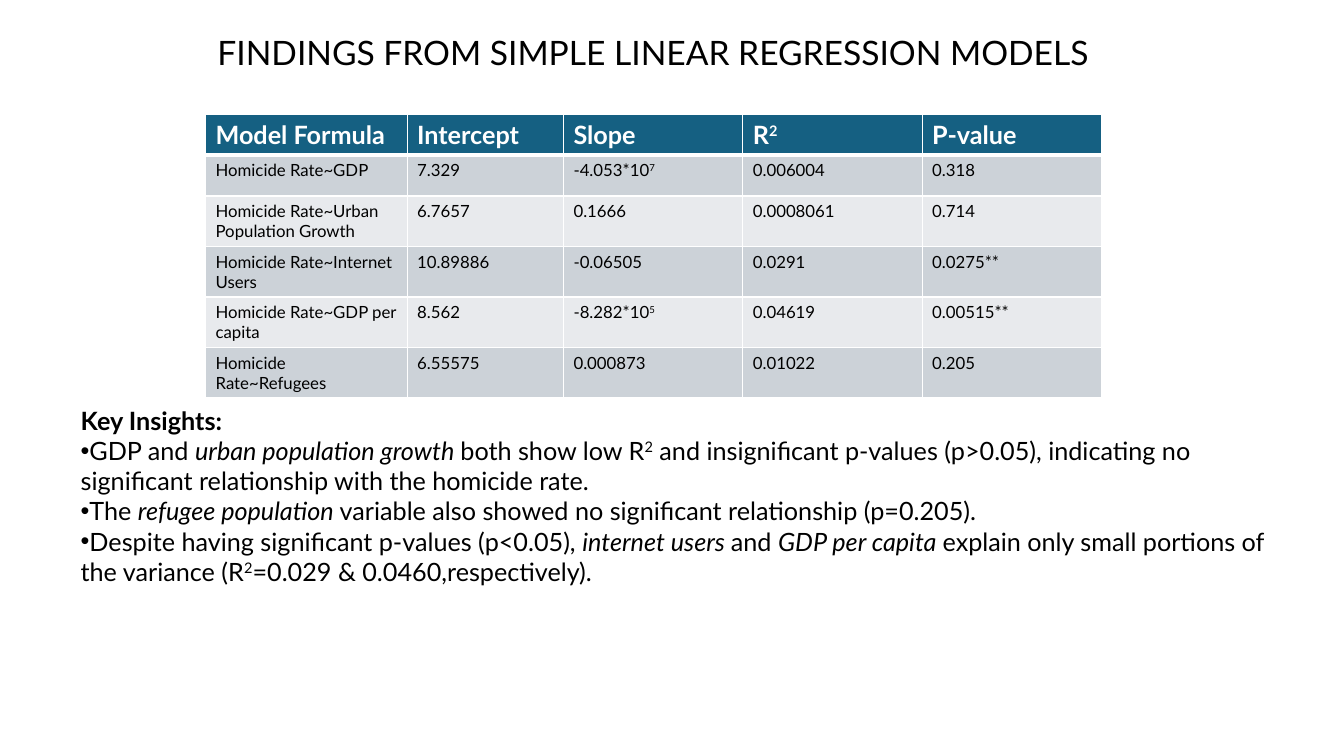
from dataclasses import dataclass
from lxml.etree import SubElement
from pptx import Presentation
from pptx.dml.color import RGBColor
from pptx.enum.text import MSO_ANCHOR, MSO_AUTO_SIZE, PP_ALIGN
from pptx.oxml import parse_xml
from pptx.oxml.ns import nsdecls, qn
from pptx.util import Cm, Pt


@dataclass(frozen=True)
class Theme:
    font: str = "Lato"
    ink: str = "000000"
    white: str = "FFFFFF"
    head: str = "156082"
    bands: tuple = ("CCD2D8", "E8EAED")
    title: int = 24
    body: int = 18
    small: int = 12


THEME = Theme()
TITLE = "FINDINGS FROM SIMPLE LINEAR REGRESSION MODELS"
WIDTHS = (5.08, 3.94, 4.52, 4.52, 4.52)
HEIGHT = 1.03
ROWS = (
    ("Model Formula", "Intercept", "Slope", "R|^2", "P-value"),
    ("Homicide Rate~GDP", "7.329", "-4.053*10|^7", "0.006004", "0.318"),
    ("Homicide Rate~Urban Population Growth", "6.7657", "0.1666", "0.0008061", "0.714"),
    ("Homicide Rate~Internet Users", "10.89886", "-0.06505", "0.0291", "0.0275**"),
    ("Homicide Rate~GDP per capita", "8.562", "-8.282*10|^5", "0.04619", "0.00515**"),
    ("Homicide Rate~Refugees", "6.55575", "0.000873", "0.01022", "0.205"),
)
HEADING = "Key Insights:"
POINTS = (
    "GDP and |/urban population growth |both show low R|^2| and insignificant "
    "p-values (p>0.05), indicating no significant relationship with the homicide rate.",
    "The |/refugee population |variable also showed no significant relationship (p=0.205).",
    "Despite having significant p-values (p<0.05), |/internet users |and "
    "|/GDP per capita |explain only small portions of the variance "
    "(R|^2|=0.029 & 0.0460,respectively).",
)


def write(para, text, size, color=THEME.ink, bold=False):
    for part in text.split("|"):
        mark = part[:1]
        run = para.add_run()
        run.text = part[1:] if mark in ("/", "^") else part
        font = run.font
        font.name = THEME.font
        font.size = Pt(size)
        font.bold = bold
        font.italic = mark == "/"
        font.color.rgb = RGBColor.from_string(color)
        if mark == "^":
            font._element.set("baseline", "30000")


def place(shape, left, top, width, height):
    shape.left, shape.top = Cm(left), Cm(top)
    shape.width, shape.height = Cm(width), Cm(height)
    frame = shape.text_frame
    frame.word_wrap = True
    frame.auto_size = MSO_AUTO_SIZE.NONE
    frame.vertical_anchor = MSO_ANCHOR.TOP
    return frame


def add_title(slide):
    para = place(slide.shapes.title, 3.76, 0.79, 25.4, 4.6).paragraphs[0]
    para.alignment = PP_ALIGN.CENTER
    para.line_spacing = 0.9
    para.space_before = Pt(10)
    write(para, TITLE, THEME.title)


def set_bullet(para, sign):
    props = para._p.get_or_add_pPr()
    props.set("marL", "0")
    props.set("indent", "0")
    if sign:
        SubElement(props, qn("a:buChar")).set("char", sign)
    else:
        SubElement(props, qn("a:buNone"))


def add_list(slide):
    frame = place(slide.placeholders[1], 1.78, 10.08, 31.29, 5.64)
    for num, text in enumerate((HEADING, *POINTS)):
        para = frame.add_paragraph() if num else frame.paragraphs[0]
        para.space_before = Pt(0)
        set_bullet(para, "•" if num else "")
        write(para, text, THEME.body, bold=num == 0)


def set_edges(cell, top, bottom):
    props = cell._tc.get_or_add_tcPr()
    edges = (("L", 1), ("R", 1), ("T", top), ("B", bottom))
    for spot, (side, width) in enumerate(edges):
        props.insert(spot, parse_xml(
            f'<a:ln{side} {nsdecls("a")} w="{Pt(width)}"><a:solidFill>'
            f'<a:srgbClr val="{THEME.white}"/></a:solidFill></a:ln{side}>'))


def fill_cell(cell, text, row):
    head = row == 0
    shade = THEME.head if head else THEME.bands[(row - 1) % 2]
    cell.fill.solid()
    cell.fill.fore_color.rgb = RGBColor.from_string(shade)
    set_edges(cell, 3 if row == 1 else 1, 3 if head else 1)
    write(cell.text_frame.paragraphs[0], text,
          THEME.body if head else THEME.small,
          THEME.white if head else THEME.ink, head)


def add_grid(slide):
    grid = slide.shapes.add_table(
        len(ROWS), len(WIDTHS), Cm(5.18), Cm(2.88),
        Cm(sum(WIDTHS)), Cm(HEIGHT * len(ROWS))).table
    for col, width in zip(grid.columns, WIDTHS):
        col.width = Cm(width)
    for row, texts in enumerate(ROWS):
        grid.rows[row].height = Cm(HEIGHT)
        for col, text in enumerate(texts):
            fill_cell(grid.cell(row, col), text, row)


def main():
    deck = Presentation()
    deck.slide_width, deck.slide_height = Cm(33.87), Cm(19.05)
    slide = deck.slides.add_slide(deck.slide_layouts[1])
    add_title(slide)
    add_grid(slide)
    add_list(slide)
    deck.save("out.pptx")


if __name__ == "__main__":
    main()
